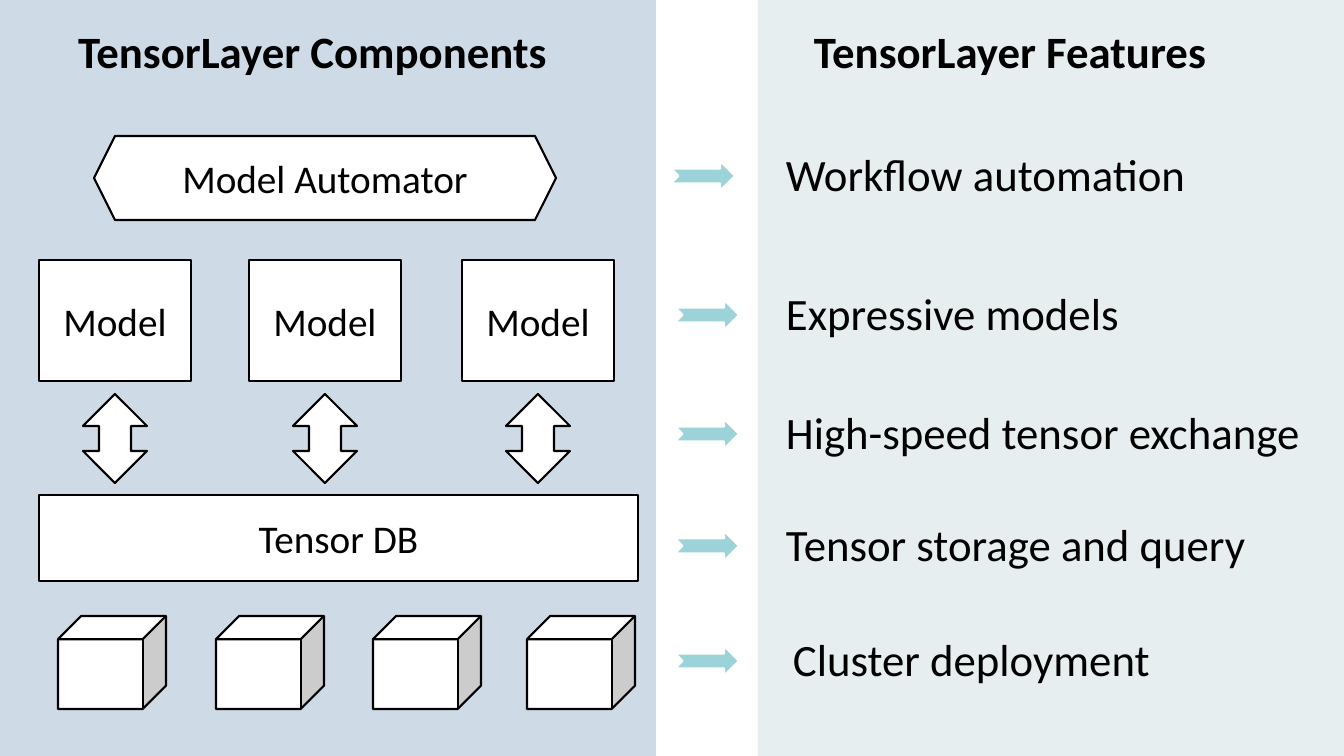
from pptx import Presentation
from pptx import util as u
from pptx.dml.color import RGBColor
from pptx.enum import shapes, text

SCALE = 914400 / 100.8
WIDTH, HEIGHT = 1344, 756
FONT = "Calibri"
BLACK, WHITE, TEAL = "000000", "FFFFFF", "9BD3D9"
KIND = shapes.MSO_SHAPE

panels = [(758, 586, "E6EEF0"), (0, 656, "CEDBE6")]
components_heading = ("TensorLayer Components", 68, 498)
features_heading = ("TensorLayer Features", 804, 422)
HEADING_TOP, LINE_HEIGHT = 19, 64

automator = ("Model Automator", 94, 136, 462, 84)
database = ("Tensor DB", 39, 495, 599, 86)
model_lefts = [39, 249, 462]
MODEL_TOP, MODEL_WIDTH, MODEL_HEIGHT = 260, 152, 121
EXCHANGE_TOP, EXCHANGE_WIDTH, EXCHANGE_HEIGHT = 394, 64, 89
node_lefts = [58, 216, 373, 527]
NODE_TOP, NODE_WIDTH, NODE_HEIGHT = 616, 108, 93

features = [
    ("Workflow automation", 776, 142, 671),
    ("Expressive models", 776, 281, 675),
    ("High-speed tensor exchange", 776, 400, 675),
    ("Tensor storage and query", 776, 512, 675),
    ("Cluster deployment", 783, 627, 675),
]
FEATURE_WIDTH, POINTER_WIDTH, POINTER_HEIGHT = 545, 64, 30


def px(value):
    return u.Emu(round(value * SCALE))


def color(value):
    return RGBColor.from_string(value)


def write(shape, words, size, align, bold=False):
    frame = shape.text_frame
    frame.text = words
    frame.word_wrap = True
    paragraph = frame.paragraphs[0]
    paragraph.alignment = align
    font = paragraph.font
    font.name, font.size, font.bold = FONT, u.Pt(size), bold
    font.color.rgb = color(BLACK)
    return frame


def draw(kind, left, top, width, height, fill=WHITE, line=BLACK, words=None):
    shape = slide.shapes.add_shape(kind, px(left), px(top), px(width), px(height))
    shape.shadow.inherit = False
    shape.fill.solid()
    shape.fill.fore_color.rgb = color(fill)
    if line:
        shape.line.color.rgb = color(line)
        shape.line.width = u.Pt(1.5)
    else:
        shape.line.fill.background()
    if words:
        frame = write(shape, words, 28, text.PP_ALIGN.CENTER)
        frame.vertical_anchor = text.MSO_ANCHOR.MIDDLE


def label(words, left, top, width, bold=False):
    box = slide.shapes.add_textbox(px(left), px(top), px(width), px(LINE_HEIGHT))
    write(box, words, 32, text.PP_ALIGN.LEFT, bold)


deck = Presentation()
deck.slide_width, deck.slide_height = px(WIDTH), px(HEIGHT)
slide = deck.slides.add_slide(deck.slide_layouts[5])

for left, width, fill in panels:
    draw(KIND.RECTANGLE, left, 0, width, HEIGHT, fill, None)

for kind, (words, *place) in [(KIND.HEXAGON, automator), (KIND.RECTANGLE, database)]:
    draw(kind, *place, words=words)

for left in model_lefts:
    draw(KIND.RECTANGLE, left, MODEL_TOP, MODEL_WIDTH, MODEL_HEIGHT, words="Model")
    exchange_left = left + (MODEL_WIDTH - EXCHANGE_WIDTH) / 2
    draw(KIND.UP_DOWN_ARROW, exchange_left, EXCHANGE_TOP, EXCHANGE_WIDTH, EXCHANGE_HEIGHT)

for left in node_lefts:
    draw(KIND.CUBE, left, NODE_TOP, NODE_WIDTH, NODE_HEIGHT)

for words, left, top, pointer_left in features:
    label(words, left, top, FEATURE_WIDTH)
    pointer_top = top + (LINE_HEIGHT - POINTER_HEIGHT) / 2 + 2
    draw(KIND.NOTCHED_RIGHT_ARROW, pointer_left, pointer_top,
         POINTER_WIDTH, POINTER_HEIGHT, TEAL, WHITE)

words, left, width = features_heading
label(words, left, HEADING_TOP, width, bold=True)

words, left, width = components_heading
title = slide.shapes.title
title.left, title.top = px(left), px(HEADING_TOP)
title.width, title.height = px(width), px(LINE_HEIGHT)
title_frame = write(title, words, 32, text.PP_ALIGN.LEFT, bold=True)
title_frame.auto_size = text.MSO_AUTO_SIZE.NONE
title_frame.vertical_anchor = text.MSO_ANCHOR.TOP
slide.shapes._spTree.append(title._element)

deck.save("out.pptx")
